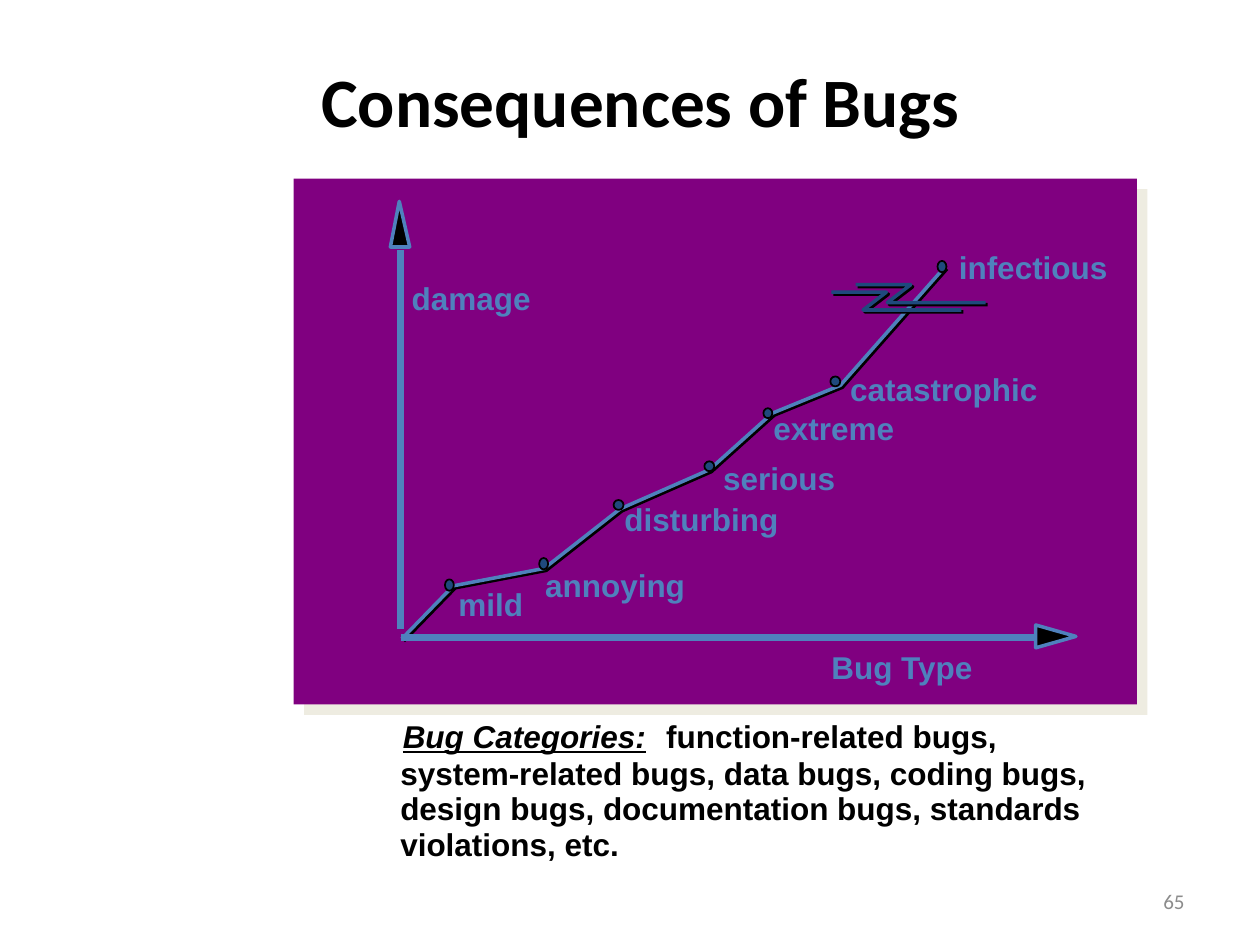
"""Build the "Consequences of Bugs" slide with its damage curve."""
from dataclasses import dataclass

from lxml import etree
from pptx import Presentation
from pptx.dml.color import RGBColor
from pptx.enum.shapes import MSO_CONNECTOR, MSO_SHAPE
from pptx.enum.text import MSO_ANCHOR, MSO_AUTO_SIZE, PP_ALIGN
from pptx.oxml.ns import qn
from pptx.util import Cm, Pt

STRAIGHT = MSO_CONNECTOR.STRAIGHT
RECTANGLE, OVAL = MSO_SHAPE.RECTANGLE, MSO_SHAPE.OVAL
TOP, MIDDLE = MSO_ANCHOR.TOP, MSO_ANCHOR.MIDDLE
FIT_SHAPE, FIXED = MSO_AUTO_SIZE.SHAPE_TO_FIT_TEXT, MSO_AUTO_SIZE.NONE
LEFT, CENTER, RIGHT = PP_ALIGN.LEFT, PP_ALIGN.CENTER, PP_ALIGN.RIGHT


@dataclass(frozen=True)
class Theme:
    black: RGBColor = RGBColor.from_string("000000")
    blue: RGBColor = RGBColor.from_string("4F81BD")
    navy: RGBColor = RGBColor.from_string("1F497D")
    purple: RGBColor = RGBColor.from_string("800080")
    gray: RGBColor = RGBColor.from_string("8C8C8C")
    panel_shadow: str = "EEECE1"
    title_size: Pt = Pt(39.6)
    body_size: Pt = Pt(18)
    number_size: Pt = Pt(12)


theme = Theme()
TITLE = {"name": "Calibri", "size": theme.title_size, "bold": True}
NUMBER = {"name": "Calibri", "size": theme.number_size}
BODY = {"name": "Arial", "size": theme.body_size, "bold": True}
HEADING = BODY | {"italic": True, "underline": True}
LINE_HEIGHT = 1.02

presentation = Presentation()
presentation.slide_width, presentation.slide_height = Cm(25.4), Cm(19.05)
slide = presentation.slides.add_slide(presentation.slide_layouts[6])
shapes = slide.shapes


def add_text(text, box, font_format, color, alignment=LEFT, anchor=TOP, wrap=False):
    text_box = shapes.add_textbox(*map(Cm, box))
    frame = text_box.text_frame
    frame_format = {
        "word_wrap": wrap,
        "auto_size": FIXED if wrap else FIT_SHAPE,
        "vertical_anchor": anchor,
    }
    for name, value in frame_format.items():
        setattr(frame, name, value)
    paragraph = frame.paragraphs[0]
    paragraph.text = text
    paragraph.alignment = alignment
    for name, value in font_format.items():
        setattr(paragraph.font, name, value)
    paragraph.font.color.rgb = color


def add_path(points, line_color, offset=0, fill_color=None):
    corners = [(Cm(x + offset), Cm(y + offset)) for x, y in points]
    builder = shapes.build_freeform(*corners[0])
    builder.add_line_segments(corners[1:], close=fill_color is not None)
    shape = builder.convert_to_shape()
    shape.shadow.inherit = False
    if fill_color is None:
        shape.fill.background()
    else:
        shape.fill.solid()
        shape.fill.fore_color.rgb = fill_color
    shape.line.color.rgb = line_color
    shape.line.width = Pt(2)


add_text("Consequences of Bugs", (4.24, 1.47, 17.35, 1.07), TITLE, theme.black,
         CENTER, MIDDLE, True)
add_text("65", (18.21, 17.65, 5.92, LINE_HEIGHT), NUMBER, theme.gray, RIGHT, MIDDLE, True)

panel = shapes.add_shape(RECTANGLE, Cm(5.92), Cm(3.6), Cm(17), Cm(10.6))
panel.fill.solid()
panel.fill.fore_color.rgb = theme.purple
panel.line.fill.background()
panel.shadow.inherit = False
effects = panel._element.spPr.find(qn("a:effectLst"))
shadow = etree.SubElement(effects, qn("a:outerShdw"), dist=str(Pt(8.5)),
                          dir="2700000", algn="ctr", rotWithShape="0")
etree.SubElement(shadow, qn("a:srgbClr"), val=theme.panel_shadow)

curve = [(8.1, 12.88), (9.14, 11.81), (10.97, 11.46), (12.5, 10.26),
         (14.3, 9.47), (15.57, 8.33), (16.94, 7.77), (19.05, 5.38)]
for color, offset in ((theme.black, 0.04), (theme.blue, 0)):
    add_path(curve, color, offset)

axes = [
    ((8.08, 5.03, 8.08, 12.67), [(8.05, 4.06), (8.26, 4.98), (7.87, 4.98)]),
    ((8.08, 12.85, 20.85, 12.85), [(21.69, 12.83), (20.88, 13.06), (20.88, 12.6)]),
]
for ends, arrowhead in axes:
    add_path(arrowhead, theme.blue, fill_color=theme.black)
    axis = shapes.add_connector(STRAIGHT, *map(Cm, ends))
    axis.line.color.rgb = theme.blue
    axis.line.width = Pt(4)
    etree.SubElement(axis._element.spPr, qn("a:effectLst"))

labels = [
    ("damage", 8.05, 5.51, 2.95),
    ("mild", 8.99, 11.66, 1.95),
    ("annoying", 10.74, 11.28, 3.4),
    ("disturbing", 12.34, 9.96, 3.7),
    ("serious", 14.33, 9.12, 2.85),
    ("extreme", 15.34, 8.13, 3.05),
    ("catastrophic", 16.89, 7.34, 4.4),
    ("infectious", 19.08, 4.88, 3.6),
    ("Bug Type", 16.51, 12.93, 3.45),
]
for text, left, top, width in labels:
    add_text(text, (left, top, width, LINE_HEIGHT), BODY, theme.blue)

markers = [
    (8.97, 11.68, 0.18, 0.23),
    (10.87, 11.25, 0.18, 0.23),
    (12.37, 10.08, 0.2, 0.2),
    (14.2, 9.3, 0.2, 0.2),
    (15.39, 8.23, 0.18, 0.2),
    (16.74, 7.59, 0.2, 0.2),
    (18.9, 5.26, 0.18, 0.23),
]
for box in markers:
    marker = shapes.add_shape(OVAL, *map(Cm, box))
    marker.shadow.inherit = False
    marker.fill.solid()
    marker.fill.fore_color.rgb = theme.navy
    marker.line.color.rgb = theme.black
    marker.line.width = Pt(1)

zigzag = [(0, 0), (1.11, 0), (0.64, 0.36), (2.62, 0.36)]
for left, top in ((17.25, 5.74), (16.76, 5.89)):
    axis_break = [(left + x, top + y) for x, y in zigzag]
    for color, offset in ((theme.black, 0.04), (theme.navy, 0)):
        add_path(axis_break, color, offset)

add_text("Bug Categories:", (7.87, 14.33, 5.45, LINE_HEIGHT), HEADING, theme.black)
add_text("function-related bugs,", (13.18, 14.33, 7.4, LINE_HEIGHT), BODY, theme.black)
category_lines = [
    ("system-related bugs, data bugs, coding bugs,", 14.6),
    ("design bugs, documentation bugs, standards", 14.5),
    ("violations, etc.", 5.1),
]
for row, (text, width) in enumerate(category_lines):
    add_text(text, (7.82, 15.08 + 0.71 * row, width, LINE_HEIGHT), BODY, theme.black)

presentation.save("out.pptx")
